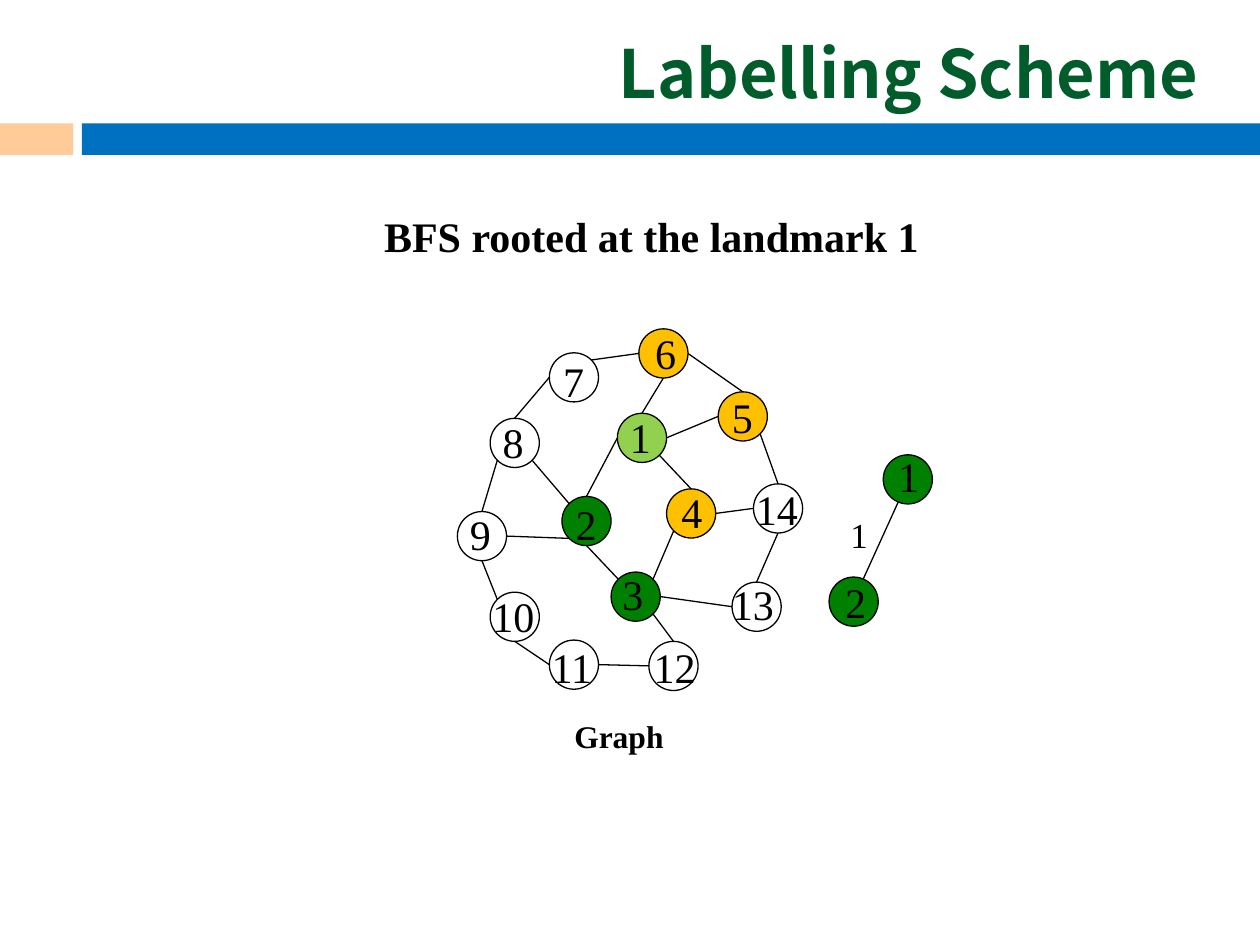
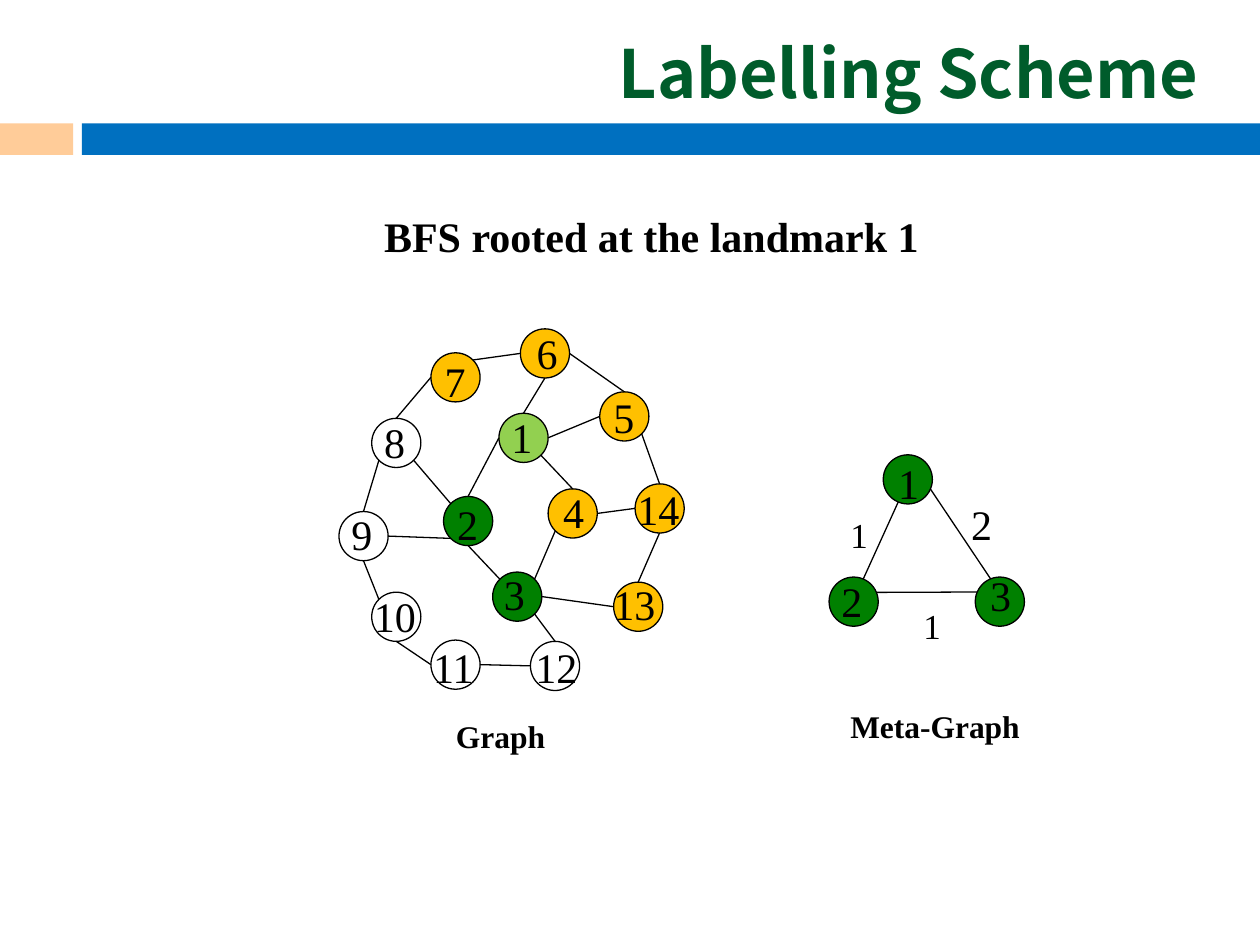
"""Builds two slides that trace a BFS from landmark 1 on a graph and its meta-graph."""
import math

from lxml import etree
from pptx import Presentation
from pptx import util as u
from pptx.dml.color import RGBColor
from pptx.enum import shapes, text
from pptx.oxml.ns import qn

BLACK = RGBColor(0x00, 0x00, 0x00)
WHITE = RGBColor(0xFF, 0xFF, 0xFF)
BAND = RGBColor(0x00, 0x70, 0xC0)
BAND_ACCENT = RGBColor(0xFF, 0xCC, 0x99)
TITLE_GREEN = RGBColor(0x00, 0x5C, 0x2B)
ROOT = RGBColor(0x92, 0xD0, 0x50)
LANDMARK = RGBColor(0x00, 0x80, 0x00)
VISITED = RGBColor(0xFF, 0xC0, 0x00)

TITLE_FONT, BODY_FONT = "Noto Sans CJK SC", "Times New Roman"
WIDTH, HEIGHT = 10, 7.5
NODE = 0.39
COMPASS = {side: 45 * step for step, side in
           enumerate(("e", "se", "s", "sw", "w", "nw", "n", "ne"))}

TITLE = "Labelling Scheme"
SUBTITLE = "BFS rooted at the landmark 1"

# node: (left, top, label left, label top)
GRAPH_NODES = {
    1: (4.9, 3.28, 4.9, 3.22), 2: (4.46, 3.94, 4.47, 3.91),
    3: (4.85, 4.54, 4.84, 4.46), 4: (5.29, 3.88, 5.31, 3.81),
    5: (5.7, 3.11, 5.71, 3.06), 6: (5.07, 2.61, 5.1, 2.55),
    7: (4.36, 2.8, 4.37, 2.77), 8: (3.89, 3.32, 3.89, 3.26),
    9: (3.63, 4.06, 3.63, 3.99), 10: (3.89, 4.7, 3.81, 4.64),
    11: (4.36, 5.08, 4.28, 5.04), 12: (5.15, 5.09, 5.09, 5.04),
    13: (5.81, 4.62, 5.71, 4.54), 14: (5.98, 3.84, 5.9, 3.79),
}
GRAPH_EDGES = [
    (7, "ne", 6, "w"), (8, "n", 7, "w"), (8, "sw", 9, "n"), (9, "s", 10, "nw"),
    (10, "s", 11, "w"), (11, "e", 12, "w"), (3, "se", 12, "n"), (3, "e", 13, "w"),
    (13, "n", 14, "s"), (4, "e", 14, "w"), (5, "se", 14, "n"), (6, "e", 5, "n"),
    (1, "w", 2, "n"), (8, "se", 2, "nw"), (9, "e", 2, "sw"), (1, "se", 4, "n"),
    (2, "s", 3, "nw"), (1, "n", 6, "s"), (1, "e", 5, "w"), (3, "ne", 4, "sw"),
]
META_NODES = {1: (7.01, 3.61, -22), 2: (6.58, 4.58, 23), 3: (7.74, 4.58, 23)}
META_EDGES = {
    (1, 2): ("sw", "n", "1", 6.65, 4.03, 20),
    (2, 3): ("ne", "w", "1", 7.23, 4.75, 20),
    (1, 3): ("se", "nw", "2", 7.61, 3.91, 24),
}
STEPS = [
    {"shift": 0, "visited": {4, 5, 6},
     "meta_labels": {1: (7.03, 3.53), 2: (6.61, 4.53)}, "captions": []},
    {"shift": -0.94, "visited": {4, 5, 6, 7, 13, 14},
     "meta_labels": {1: (7.03, 3.58), 2: (6.58, 4.52), 3: (7.76, 4.47)},
     "captions": [("Meta-Graph", 6.65, 5.56, 2)]},
]


def inches(*lengths):
    return [u.Inches(length) for length in lengths]


def add_text(slide, words, left, top, width, size, bold=False):
    height = {18: 0.4, 20: 0.44, 24: 0.5}[size]
    frame = slide.shapes.add_textbox(*inches(left, top, width, height)).text_frame
    frame.word_wrap = True
    frame.auto_size = text.MSO_AUTO_SIZE.SHAPE_TO_FIT_TEXT
    style_run(frame.paragraphs[0].add_run(), words, size, BODY_FONT, BLACK, bold)


def style_run(run, words, size, font, color, bold):
    run.text = words
    run.font.size, run.font.name, run.font.bold = u.Pt(size), font, bold
    run.font.color.rgb = color


def add_filled(slide, preset, left, top, width, height, fill):
    shape = slide.shapes.add_shape(preset, *inches(left, top, width, height))
    shape.shadow.inherit = False
    shape.fill.solid()
    shape.fill.fore_color.rgb = fill
    shape.line.fill.background()
    return shape


def add_node(slide, left, top, fill, turn=0):
    node = add_filled(slide, shapes.MSO_SHAPE.OVAL, left, top, NODE, NODE, fill)
    node.rotation = turn % 360
    node.line.color.rgb = BLACK
    node.line.width = u.Pt(0.75)


def rim_point(left, top, side, turn=0):
    angle = math.radians(COMPASS[side] + turn)
    return (left + NODE / 2 * (1 + math.cos(angle)),
            top + NODE / 2 * (1 + math.sin(angle)))


def add_edge(slide, start, end):
    edge = slide.shapes.add_connector(shapes.MSO_CONNECTOR.STRAIGHT, *inches(*start, *end))
    edge.line.color.rgb = BLACK
    edge.line.width = u.Pt(0.75)
    etree.SubElement(edge._element.spPr, qn("a:effectLst"))


def add_header(slide):
    for left, width, fill in ((0.65, WIDTH - 0.65, BAND), (0, 0.58, BAND_ACCENT)):
        add_filled(slide, shapes.MSO_SHAPE.RECTANGLE, left, 0.98, width, 0.25, fill)
    frame = slide.shapes.add_textbox(*inches(1.38, 0.31, 8.23, 0.58)).text_frame
    frame.word_wrap = True
    frame.margin_top = frame.margin_bottom = 0
    frame.vertical_anchor = text.MSO_ANCHOR.BOTTOM
    heading = frame.paragraphs[0]
    heading.alignment = text.PP_ALIGN.RIGHT
    style_run(heading.add_run(), TITLE, 38, TITLE_FONT, TITLE_GREEN, True)
    add_text(slide, SUBTITLE, 2.95, 1.62, 4.51, 24, True)


def add_graph(slide, shift, visited):
    fills = {1: ROOT, 2: LANDMARK, 3: LANDMARK, **dict.fromkeys(visited, VISITED)}
    places = {number: (left + shift, top)
              for number, (left, top, *_) in GRAPH_NODES.items()}
    for number, place in places.items():
        add_node(slide, *place, fills.get(number, WHITE))
    for start, start_side, end, end_side in GRAPH_EDGES:
        add_edge(slide, rim_point(*places[start], start_side),
                 rim_point(*places[end], end_side))
    for number, (*_, left, top) in GRAPH_NODES.items():
        add_text(slide, str(number), left + shift, top, 0.38 if number < 10 else 0.6, 24)
    add_text(slide, "Graph", 4.46 + shift, 5.64, 1.41, 18, True)


def add_meta_graph(slide, labels):
    for number in labels:
        left, top, turn = META_NODES[number]
        add_node(slide, left, top, LANDMARK, turn)
    for ends, (*sides, distance, left, top, size) in META_EDGES.items():
        if labels.keys() >= set(ends):
            points = []
            for number, side in zip(ends, sides):
                node_left, node_top, turn = META_NODES[number]
                points.append(rim_point(node_left, node_top, side, turn))
            add_edge(slide, *points)
            add_text(slide, distance, left, top, 0.58, size)
    for number, (left, top) in labels.items():
        add_text(slide, str(number), left, top, 0.58, 24)


def main():
    deck = Presentation()
    deck.slide_width, deck.slide_height = inches(WIDTH, HEIGHT)
    for step in STEPS:
        slide = deck.slides.add_slide(deck.slide_layouts[6])
        add_header(slide)
        add_graph(slide, step["shift"], step["visited"])
        add_meta_graph(slide, step["meta_labels"])
        for words, left, top, width in step["captions"]:
            add_text(slide, words, left, top, width, 18, True)
    deck.save("out.pptx")


if __name__ == "__main__":
    main()
